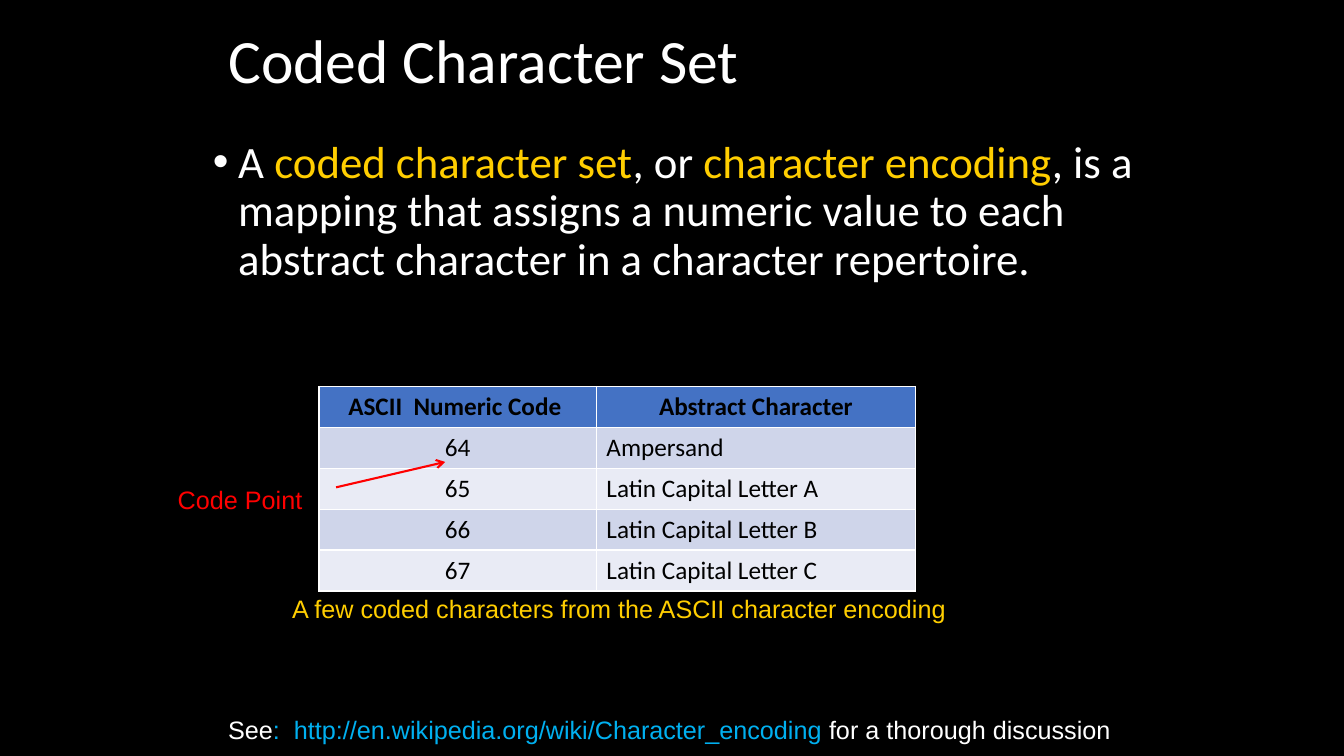
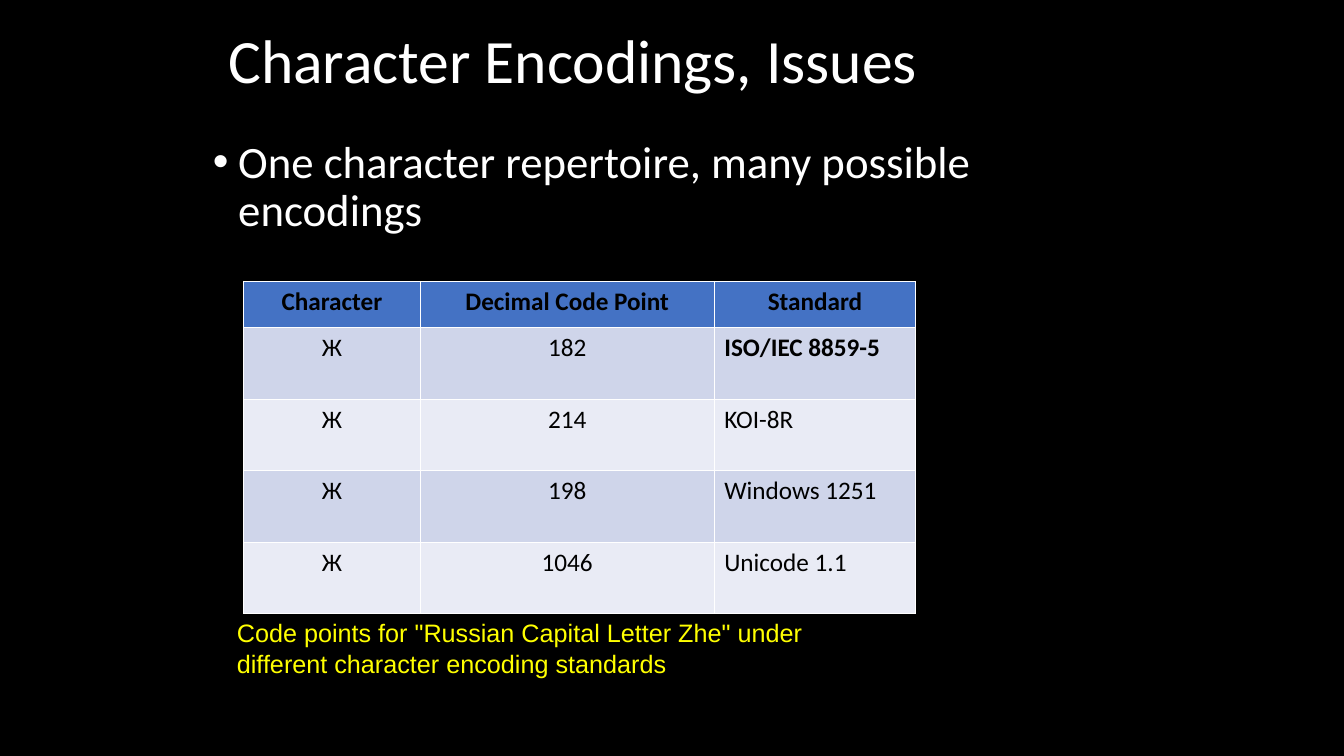
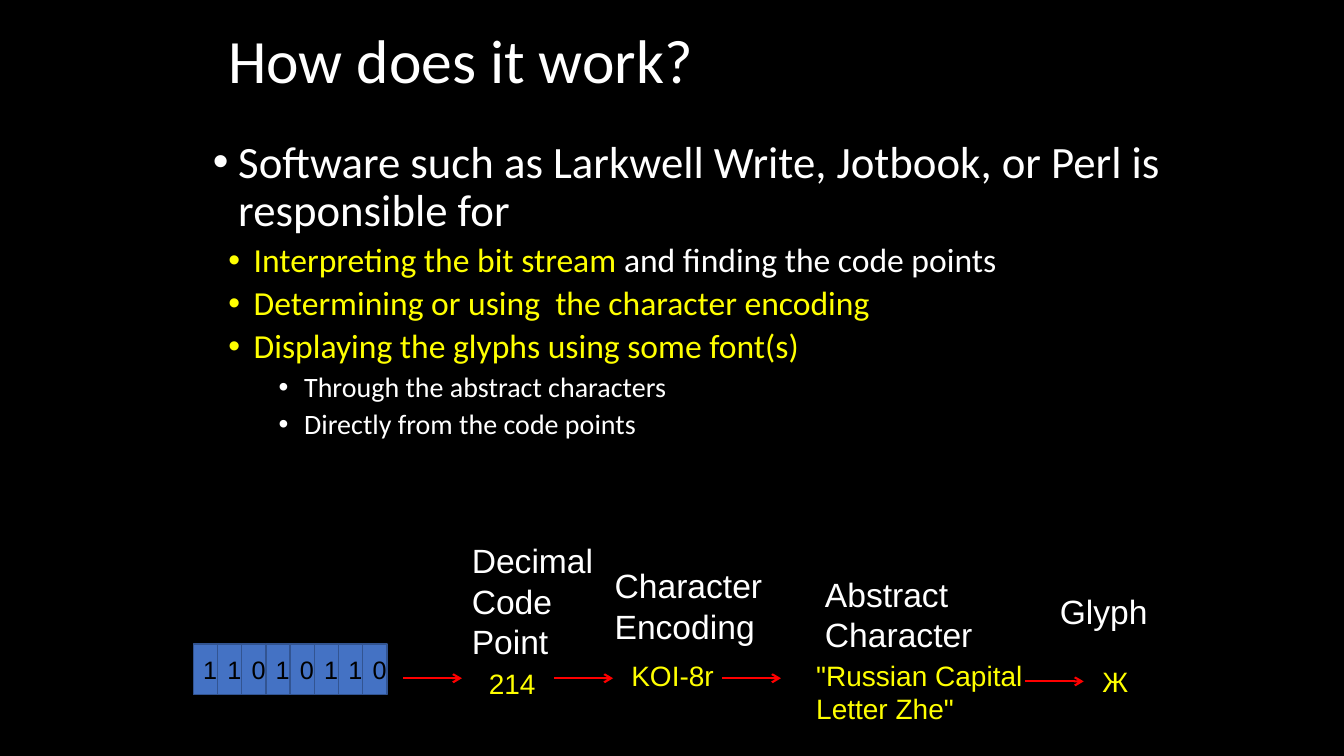
import lxml.etree
import pptx
import pptx.dml.color
import pptx.enum.shapes
import pptx.enum.text
import pptx.oxml.ns
import pptx.util

Cm, Pt = pptx.util.Cm, pptx.util.Pt
RGB = pptx.dml.color.RGBColor
ALIGN = pptx.enum.text.PP_ALIGN
ANCHOR = pptx.enum.text.MSO_ANCHOR
FIT = pptx.enum.text.MSO_AUTO_SIZE
qn = pptx.oxml.ns.qn

BLACK = RGB(0x00, 0x00, 0x00)
WHITE = RGB(0xFF, 0xFF, 0xFF)
GOLD = RGB(0xFF, 0xCE, 0x00)
YELLOW = RGB(0xFF, 0xFF, 0x00)
RED = RGB(0xFF, 0x00, 0x00)
SKY = RGB(0x00, 0xB0, 0xF0)
BLUE = RGB(0x44, 0x72, 0xC4)
NAVY = RGB(0x32, 0x54, 0x91)
BANDS = RGB(0xCF, 0xD5, 0xEA), RGB(0xE9, 0xEB, 0xF5)

HEAD = "Calibri"
LABEL = "Arial"
LEVELS = (32, 1.52, 0), (24, 1.91, 5), (20, 3.18, 5)


def child(parent, tag, **attrs):
    return lxml.etree.SubElement(parent, qn(tag), attrs)


class Deck:
    """Holds the shared style and the current slide."""

    def __init__(self):
        self.prs = pptx.Presentation()
        self.prs.slide_width, self.prs.slide_height = Cm(33.87), Cm(19.05)
        fill = self.prs.slide_master.background.fill
        fill.solid()
        fill.fore_color.rgb = BLACK

    def runs(self, par, parts, size, font, bold=False):
        for text, color in parts:
            run = par.add_run()
            run.text = text
            run.font.size = Pt(size)
            run.font.name = font
            run.font.bold = bold
            run.font.color.rgb = color

    def place(self, shape, left, top, width, height):
        shape.left, shape.top = Cm(left), Cm(top)
        shape.width, shape.height = Cm(width), Cm(height)
        shape.text_frame.auto_size = FIT.NONE
        return shape.text_frame

    def start(self, title):
        self.slide = self.prs.slides.add_slide(self.prs.slide_layouts[1])
        self.shapes = self.slide.shapes
        frame = self.place(self.shapes.title, 5.5, 0, 20.75, 3.18)
        frame.vertical_anchor = ANCHOR.MIDDLE
        par = frame.paragraphs[0]
        par.alignment = ALIGN.LEFT
        par.line_spacing = 0.9
        self.runs(par, [(title, WHITE)], 44, HEAD)

    def bullets(self, width, height, items):
        body = self.slide.placeholders[1]
        frame = self.place(body, 4.23, 3.39, width, height)
        for i, (level, parts) in enumerate(items):
            par = frame.add_paragraph() if i else frame.paragraphs[0]
            size, indent, before = LEVELS[level]
            par.level = level
            par.line_spacing = 0.9
            par.space_before = Pt(before)
            props = par._p.get_or_add_pPr()
            props.set("marL", str(Cm(indent)))
            props.set("indent", str(-Cm(0.64)))
            child(props, "a:buFont", typeface=LABEL)
            child(props, "a:buChar", char="•")
            self.runs(par, parts, size, HEAD)

    def text(self, left, top, width, height, lines, size=18, wrap=False):
        box = self.shapes.add_textbox(Cm(left), Cm(top), Cm(width), Cm(height))
        frame = box.text_frame
        frame.word_wrap = wrap
        frame.auto_size = FIT.SHAPE_TO_FIT_TEXT
        for i, parts in enumerate(lines):
            par = frame.add_paragraph() if i else frame.paragraphs[0]
            self.runs(par, parts, size, LABEL)

    def table(self, left, top, widths, heights, rows, strong=()):
        grid = self.shapes.add_table(
            len(rows), len(widths), Cm(left), Cm(top),
            Cm(sum(widths)), Cm(sum(heights))).table
        for col, width in zip(grid.columns, widths):
            col.width = Cm(width)
        for r, row in enumerate(rows):
            grid.rows[r].height = Cm(heights[r])
            for c, value in enumerate(row):
                cell = grid.cell(r, c)
                self.border(cell)
                cell.fill.solid()
                cell.fill.fore_color.rgb = BANDS[(r - 1) % 2] if r else BLUE
                par = cell.text_frame.paragraphs[0]
                last = c == len(row) - 1
                par.alignment = ALIGN.LEFT if r and last else ALIGN.CENTER
                bold = r == 0 or value in strong
                self.runs(par, [(value, BLACK)], 18, HEAD, bold)

    def border(self, cell):
        props = cell._tc.get_or_add_tcPr()
        for side in "LRTB":
            line = child(props, f"a:ln{side}", w=str(Pt(1)))
            child(child(line, "a:solidFill"), "a:srgbClr", val=str(WHITE))

    def arrow(self, x1, y1, x2, y2):
        line = self.shapes.add_connector(
            pptx.enum.shapes.MSO_CONNECTOR.STRAIGHT,
            Cm(x1), Cm(y1), Cm(x2), Cm(y2))
        line.line.color.rgb = RED
        line.line.width = Pt(1.5)
        props = line._element.spPr
        child(props.find(qn("a:ln")), "a:tailEnd", type="arrow")
        child(props, "a:effectLst")

    def bits(self, left, top, side, height, digits):
        group = self.shapes.add_group_shape()
        for i, digit in enumerate(digits):
            box = group.shapes.add_shape(
                pptx.enum.shapes.MSO_SHAPE.RECTANGLE,
                Cm(left + i * side), Cm(top), Cm(side), Cm(height))
            box.shadow.inherit = False
            box.fill.solid()
            box.fill.fore_color.rgb = BLUE
            box.line.color.rgb = NAVY
            box.line.width = Pt(1)
            box.text_frame.vertical_anchor = ANCHOR.MIDDLE
            par = box.text_frame.paragraphs[0]
            par.alignment = ALIGN.CENTER
            self.runs(par, [(digit, BLACK)], 18, LABEL)


def coded(deck):
    deck.start("Coded Character Set")
    deck.bullets(25.4, 4.17, [(0, [
        ("A ", WHITE), ("coded character set", GOLD), (", or ", WHITE),
        ("character encoding", GOLD),
        (", is a mapping that assigns a numeric value to each abstract "
         "character in a character repertoire.", WHITE)])])
    deck.text(7.11, 14.83, 17.15, 1.02, [
        [("A few coded characters from the ASCII character encoding", GOLD)]])
    deck.table(8.04, 9.74, [6.99, 8.04], [1.03] * 5, [
        ("ASCII  Numeric Code ", "Abstract Character"),
        ("64", "Ampersand"),
        ("65", "Latin Capital Letter A"),
        ("66", "Latin Capital Letter B"),
        ("67", "Latin Capital Letter C")])
    deck.text(5.5, 17.88, 23.5, 1.02, [[
        ("See", WHITE),
        (":  http://en.wikipedia.org/wiki/Character_encoding ", SKY),
        ("for a thorough discussion", WHITE)]], wrap=True)
    deck.arrow(8.47, 12.28, 11.22, 11.64)
    deck.text(4.23, 12.07, 3.68, 1.02, [[("Code Point", RED)]])


def issues(deck):
    deck.start("Character Encodings, Issues")
    deck.bullets(24.55, 4.17, [(0, [
        ("One character repertoire, many possible encodings", WHITE)])])
    codes = [("182", "ISO/IEC 8859-5"), ("214", "KOI-8R"),
             ("198", "Windows 1251"), ("1046", "Unicode 1.1")]
    deck.table(6.14, 7.09, [4.45, 7.41, 5.08], [1.17] + [1.8] * 4,
               [("Character", "Decimal Code Point", "Standard")]
               + [("Ж", *code) for code in codes], ["ISO/IEC 8859-5"])
    deck.text(5.72, 15.44, 17.15, 1.8, [[
        ('Code points for "Russian Capital Letter Zhe" under different '
         "character encoding standards", YELLOW)]], wrap=True)


def works(deck):
    deck.start("How does it work?")
    deck.bullets(25.4, 9.1, [
        (0, [("Software such as Larkwell Write, Jotbook, or Perl "
              "is responsible for", WHITE)]),
        (1, [("Interpreting the bit stream ", YELLOW),
             ("and finding the code points", WHITE)]),
        (1, [("Determining or using  the character encoding", YELLOW)]),
        (1, [("Displaying the glyphs using some font(s)", YELLOW)]),
        (2, [("Through the abstract characters", WHITE)]),
        (2, [("Directly from the code points", WHITE)])])
    deck.bits(4.87, 16.23, 0.61, 1.27, "11010110")
    for left, top, width, height, words in (
            (11.64, 13.49, 3.61, 3.33, ("Decimal", "Code", "Point")),
            (15.24, 14.12, 4.27, 2.31, ("Character", "Encoding")),
            (20.54, 14.33, 4.27, 2.31, ("Abstract", "Character")),
            (26.46, 14.76, 2.74, 1.3, ("Glyph",))):
        deck.text(left, top, width, height, [[(w, WHITE)] for w in words], 24)
    for left, top, width, height, value, wrap in (
            (12.07, 16.67, 1.7, 1.12, "214", False),
            (15.66, 16.46, 2.62, 1.12, "KOI-8r", False),
            (20.32, 16.46, 5.92, 1.96, '"Russian Capital Letter Zhe"', True),
            (27.53, 16.62, 1.17, 1.12, "Ж", False)):
        deck.text(left, top, width, height, [[(value, YELLOW)]], 20, wrap)
    for left, top in (10.16, 17.09), (13.97, 17.09), (18.2, 17.09), (25.83, 17.17):
        deck.arrow(left, top, left + 1.48, top)


def main():
    deck = Deck()
    for build in coded, issues, works:
        build(deck)
    deck.prs.save("out.pptx")


if __name__ == "__main__":
    main()
